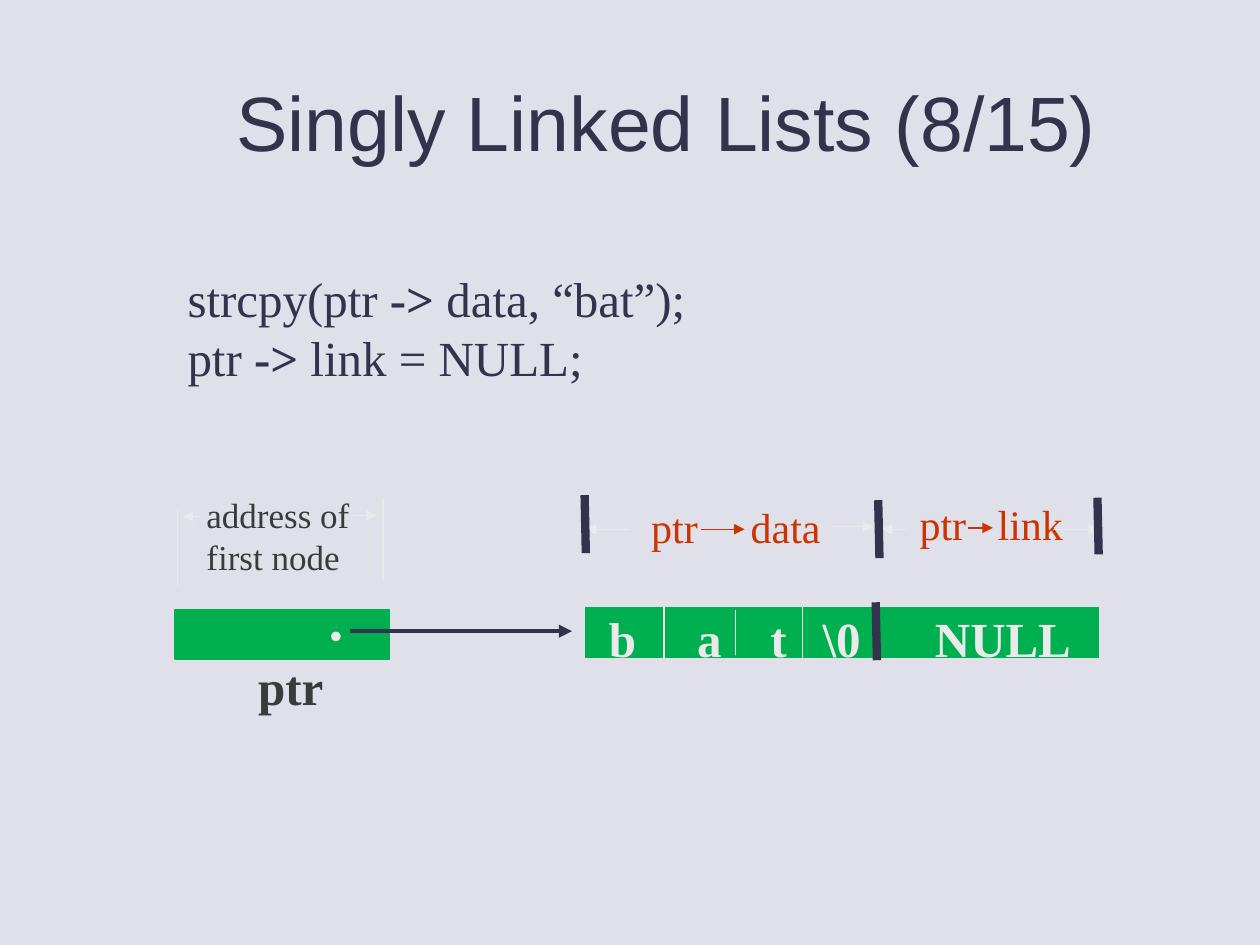
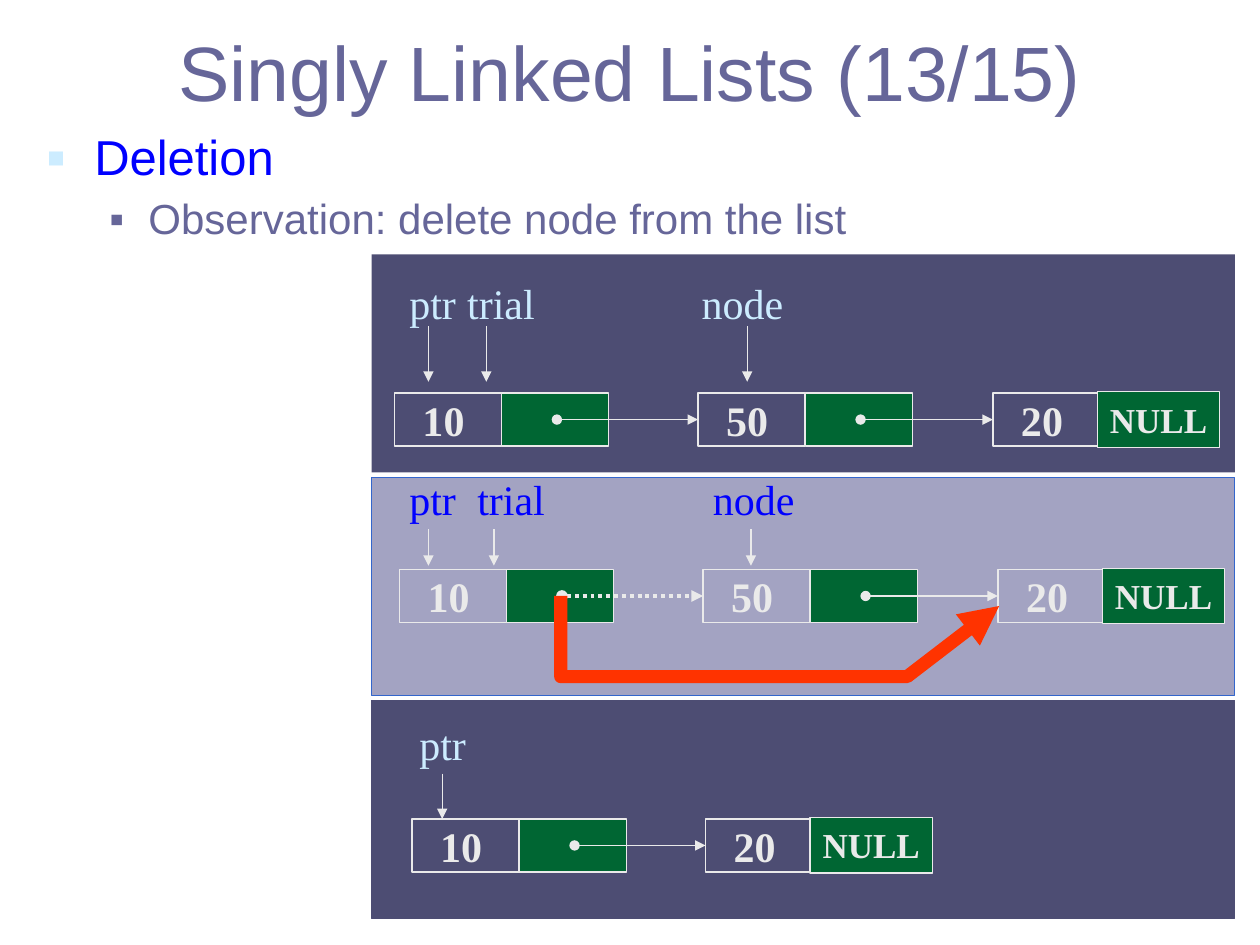
from lxml import etree
from pptx import Presentation
from pptx.dml.color import RGBColor as RGB
from pptx.enum.dml import MSO_LINE
from pptx.enum.shapes import MSO_CONNECTOR as CONN, MSO_SHAPE as SHAPE
from pptx.enum.text import MSO_ANCHOR as ANCHOR, MSO_AUTO_SIZE as AUTO, PP_ALIGN as ALIGN
from pptx.oxml.ns import qn
from pptx.util import Inches, Pt

THEME = {
    "sans": "Arial", "serif": "Times New Roman",
    "pale_bg": "E0E0EB", "white": "FFFFFF", "ink": "33334D", "violet": "666699",
    "gray": "3B3B3B", "light": "EAEAEA", "green": "00B050", "rust": "CC3300",
    "blue": "0000FF", "sky": "CCECFF", "dark_panel": "4D4D73",
    "mid_panel": "A3A3C2", "panel_edge": "3366CC", "node": "006633", "red": "FF3300",
    "title": 44, "large": 28, "label": 24, "small": 20,
}
T = THEME


def box(sl, x, y, w, h, text="", size=T["label"], color=T["light"], font=T["serif"],
        bold=False, align=ALIGN.LEFT, anchor=ANCHOR.TOP, fill=None, line=None,
        ins=(0.1, 0.05, 0.1, 0.05)):
    """Add a text box, or a rectangle if it has a fill or a line; '->' is bold."""
    at = [Inches(v) for v in (x, y, w, h)]
    if fill or line:
        s = sl.shapes.add_shape(SHAPE.RECTANGLE, *at)
        s.shadow.inherit = False
        for part, paint in ((s.fill, fill), (s.line.fill, line)):
            if paint:
                part.solid()
                part.fore_color.rgb = RGB.from_string(paint)
            else:
                part.background()
        if line:
            s.line.width = Pt(0.75)
    else:
        s = sl.shapes.add_textbox(*at)
    if not text:
        return s
    tf = s.text_frame
    left, top, right, bottom = [Inches(v) for v in ins]
    frame = {"word_wrap": True, "vertical_anchor": anchor, "margin_left": left,
             "margin_top": top, "margin_right": right, "margin_bottom": bottom}
    for name, value in frame.items():
        setattr(tf, name, value)
    for i, row in enumerate(text.split("\n")):
        p = tf.add_paragraph() if i else tf.paragraphs[0]
        p.alignment = align
        for piece in filter(None, row.partition("->")):
            r = p.add_run()
            r.text = piece
            fmt = {"name": font, "size": Pt(size), "bold": bold or piece == "->"}
            for name, value in fmt.items():
                setattr(r.font, name, value)
            r.font.color.rgb = RGB.from_string(color)
    return s


def line(sl, *points, color=T["light"], width=0.75, head=None, tail=None, dash=None):
    """Join points with a connector, or with an open freeform if more than two."""
    pts = [(Inches(x), Inches(y)) for x, y in points]
    if len(pts) == 2:
        s = sl.shapes.add_connector(CONN.STRAIGHT, *pts[0], *pts[1])
    else:
        fb = sl.shapes.build_freeform(*pts[0])
        fb.add_line_segments(pts[1:], close=False)
        s = fb.convert_to_shape()
        s.fill.background()
    s.line.color.rgb = RGB.from_string(color)
    s.line.width = Pt(width)
    if dash:
        s.line.dash_style = dash
    ln = s.line._get_or_add_ln()
    etree.SubElement(ln, qn("a:round"))
    for tag, kind in (("a:headEnd", head), ("a:tailEnd", tail)):
        if kind:
            etree.SubElement(ln, qn(tag), type=kind)
    etree.SubElement(s._element.spPr, qn("a:effectLst"))


prs = Presentation()
prs.slide_width, prs.slide_height = Inches(10), Inches(7.5)

# Slides with their titles
pages = [
    ("Singly Linked Lists (8/15)", (0.79, 0.33, 9, 1.25), T["ink"], T["pale_bg"]),
    ("Singly Linked Lists (13/15)", (0.5, 0.13, 9, 0.87), T["violet"], T["white"]),
]
slides = []
for text, at, color, bg in pages:
    sl = prs.slides.add_slide(prs.slide_layouts[5])
    sl.background.fill.solid()
    sl.background.fill.fore_color.rgb = RGB.from_string(bg)
    title = sl.shapes.title
    for name, value in zip(("left", "top", "width", "height"), at):
        setattr(title, name, Inches(value))
    tf = title.text_frame
    tf.text = text
    tf.auto_size, tf.vertical_anchor = AUTO.NONE, ANCHOR.MIDDLE
    p = tf.paragraphs[0]
    p.alignment = ALIGN.CENTER
    font = p.runs[0].font
    font.name, font.size = T["sans"], Pt(T["title"])
    font.color.rgb = RGB.from_string(color)
    slides.append(sl)
assign, delete = slides

# Assignment: code
box(assign, 1.39, 2.08, 5, 1.04, "strcpy(ptr -> data, “bat”);\nptr -> link = NULL;",
    size=T["large"], color=T["ink"])

# Assignment: pointer and node bars
for x, y, w, h in ((1.39, 4.84, 1.7, 0.39), (4.65, 4.82, 4.07, 0.4)):
    box(assign, x, y, w, h, fill=T["green"], line=T["green"])
for center, text in ((4.94, "b"), (5.63, "a"), (6.18, "t"), (6.68, "\\0"), (7.96, "NULL")):
    box(assign, center - 0.6, 4.83, 1.2, 0.45, text, size=T["large"], bold=True,
        align=ALIGN.CENTER, ins=(0, 0, 0, 0))
for x, top, bottom in ((5.27, 4.82, 5.22), (5.84, 4.84, 5.2), (6.37, 4.82, 5.22)):
    line(assign, (x, top), (x, bottom))
box(assign, 2.52, 4.82, 0.4, 0.4, "•", size=T["small"], font=T["sans"])
line(assign, (2.78, 5.01), (4.54, 5.01), color=T["ink"], width=2.5, tail="triangle")
box(assign, 1.95, 5.16, 0.8, 0.57, "ptr", size=T["large"], color=T["gray"], bold=True)

# Assignment: field labels above the bars
box(assign, 1.54, 3.87, 1.76, 0.77, "address of\nfirst node", size=T["small"], color=T["gray"])
fields = [(5.07, 3.93, 1.54, "data", 5.86, (5.56, 5.91, 4.2)),
          (7.2, 3.91, 1.34, "link", 7.82, (7.68, 7.88, 4.19))]
for x, y, w, field, field_x, (start, end, arrow_y) in fields:
    box(assign, x, y, w, 0.5, "ptr", color=T["rust"], fill=T["pale_bg"])
    box(assign, field_x, y, 0.9, 0.5, field, color=T["rust"])
    line(assign, (start, arrow_y), (end, arrow_y), color=T["rust"], tail="triangle")

# Assignment: extent marks and arrows
for x, top, bottom in ((1.41, 4.03, 4.66), (3.04, 3.96, 4.6), (4.65, 3.99, 4.39),
                       (6.96, 3.98, 4.39), (8.72, 4.02, 4.43)):
    line(assign, (x, top), (x, bottom))
for start, end, y in ((1.6, 1.45, 4.1), (2.8, 2.99, 4.09), (5, 4.65, 4.2),
                      (6.6, 6.93, 4.18), (7.2, 7, 4.2), (8.36, 8.72, 4.2)):
    line(assign, (start, y), (end, y), tail="triangle")
for x, top, bottom in ((6.95, 4.78, 5.24), (6.97, 3.97, 4.43), (8.71, 3.95, 4.4),
                       (4.64, 3.93, 4.39)):
    line(assign, (x, top), (x + 0.01, bottom), color=T["ink"], width=4.75)

# Deletion: bulleted text
body = box(delete, 0.27, 1.01, 9, 1.02, "Deletion\nObservation: delete node from the list",
           font=T["sans"])
levels = [(0.38, -0.38, 0, T["sky"], 115, T["large"], T["blue"]),
          (0.81, -0.31, 7, T["violet"], 100, T["label"], T["violet"])]
for i, (p, level) in enumerate(zip(body.text_frame.paragraphs, levels)):
    margin, indent, before, bullet, scale, size, color = level
    p.level, p.line_spacing, p.space_before = i, 0.9, Pt(before)
    pPr = p._p.get_or_add_pPr()
    pPr.set("marL", str(Inches(margin)))
    pPr.set("indent", str(Inches(indent)))
    clr = etree.SubElement(pPr, qn("a:buClr"))
    etree.SubElement(clr, qn("a:srgbClr"), val=bullet)
    etree.SubElement(pPr, qn("a:buSzPct"), val=str(scale * 1000))
    etree.SubElement(pPr, qn("a:buFont"), typeface=T["sans"])
    etree.SubElement(pPr, qn("a:buChar"), char="▪")
    p.runs[0].font.size = Pt(size)
    p.runs[0].font.color.rgb = RGB.from_string(color)

# Deletion: three states of the list
CELL_W, CELL_H = 0.85, 0.42
states = [
    {"top": 2.02, "fill": T["dark_panel"], "edge": None, "ink": T["sky"],
     "label_y": 2.15, "labels": [("ptr", 3.15), ("trial", 3.61), ("node", 5.47)],
     "arrows": [3.4, 3.86, 5.93], "arrow_y": (2.59, 3.03),
     "y": 3.12, "nodes": [("10", 3.13), ("50", 5.54), ("20", 7.88)]},
    {"top": 3.79, "fill": T["mid_panel"], "edge": T["panel_edge"], "ink": T["blue"],
     "label_y": 3.71, "labels": [("ptr", 3.15), ("trial", 3.69), ("node", 5.56)],
     "arrows": [3.4, 3.92, 5.96], "arrow_y": (4.2, 4.49),
     "y": 4.52, "nodes": [("10", 3.17), ("50", 5.58), ("20", 7.92)], "cut": True},
    {"top": 5.56, "fill": T["dark_panel"], "edge": T["dark_panel"], "ink": T["sky"],
     "label_y": 5.65, "labels": [("ptr", 3.23)],
     "arrows": [3.51], "arrow_y": (6.14, 6.5),
     "y": 6.5, "nodes": [("10", 3.27), ("20", 5.6)]},
]
for st in states:
    box(delete, 2.95, st["top"], 6.85, 1.73, fill=st["fill"], line=st["edge"])
    for text, x in st["labels"]:
        box(delete, x, st["label_y"], 1, 0.5, text, color=st["ink"])
    for x in st["arrows"]:
        line(delete, *[(x, y) for y in st["arrow_y"]], tail="triangle")

    # Nodes, each linked to the next one
    y, nodes = st["y"], st["nodes"]
    mid = y + CELL_H / 2
    for i, (value, x) in enumerate(nodes):
        box(delete, x, y, CELL_W, CELL_H, value, bold=True, align=ALIGN.CENTER,
            anchor=ANCHOR.MIDDLE, line=T["light"], ins=(0, 0, 0.07, 0))
        if i < len(nodes) - 1:
            box(delete, x + CELL_W, y, CELL_W, CELL_H, fill=T["node"], line=T["light"])
            cut = i == 0 and "cut" in st
            line(delete, (x + 1.29, mid), (nodes[i + 1][1], mid), head="oval",
                 tail="triangle", width=2.25 if cut else 0.75,
                 dash=MSO_LINE.ROUND_DOT if cut else None)
        else:
            box(delete, x + 0.83, y - 0.01, 0.97, 0.44, "NULL", size=T["small"], bold=True,
                align=ALIGN.CENTER, fill=T["node"], line=T["light"])

# Deletion: bypass around the deleted node
line(delete, (4.45, 4.73), (4.45, 5.37), (7.2, 5.37), (7.93, 4.81),
     color=T["red"], width=7.5, tail="triangle")

prs.save("out.pptx")
